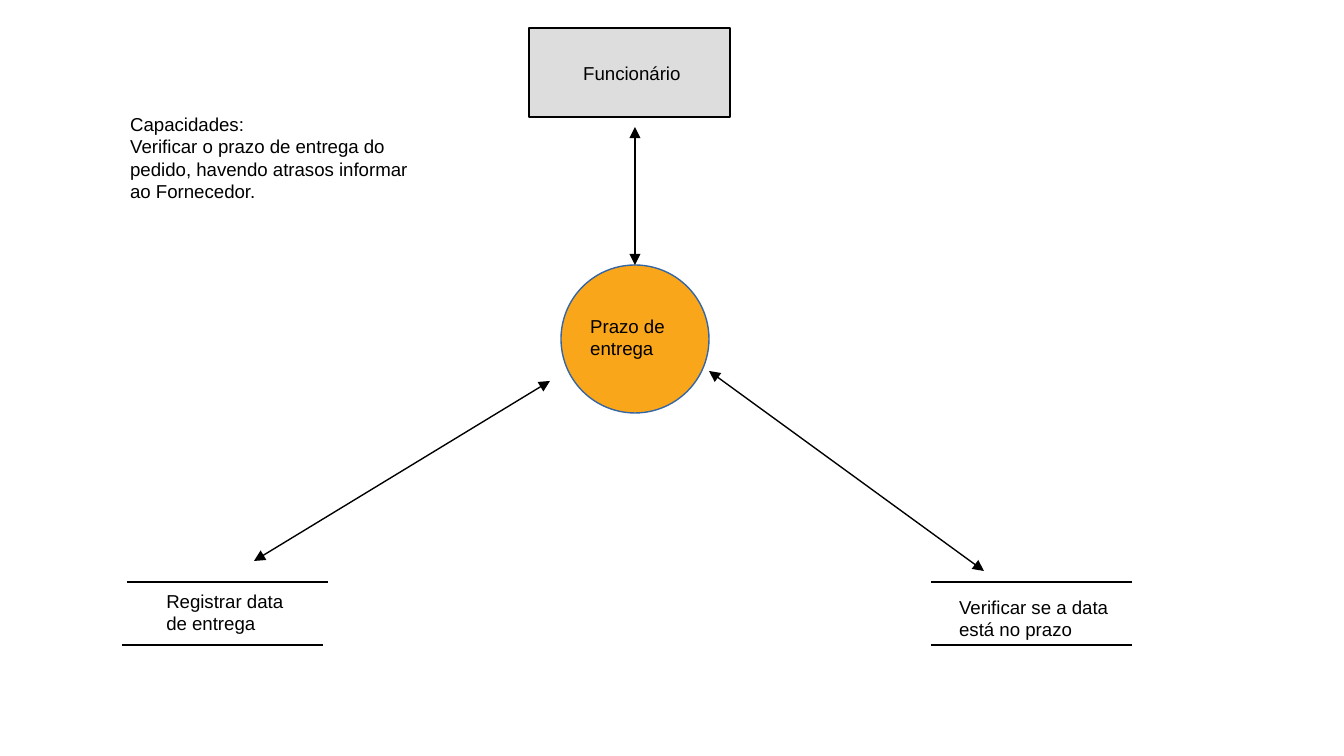
"""Build a data-flow diagram of the delivery deadline process."""
import pptx
import pptx.dml.color
import pptx.enum.shapes
import pptx.oxml
import pptx.oxml.ns
import pptx.util

EMU_PER_PX = 914400 / 134.4
BLACK = "000000"
STORE_WIDTH = 201


def px(length):
    return pptx.util.Emu(round(length * EMU_PER_PX))


def colour(hex_code):
    return pptx.dml.color.RGBColor.from_string(hex_code)


def add_node(slide, preset, box, fill, outline):
    node = slide.shapes.add_shape(preset, *map(px, box))
    node.shadow.inherit = False
    node.fill.solid()
    node.fill.fore_color.rgb = colour(fill)
    node.line.color.rgb = colour(outline)
    node.line.width = pptx.util.Pt(0.75)


def add_line(slide, start, end, arrows=False):
    line = slide.shapes.add_connector(
        pptx.enum.shapes.MSO_CONNECTOR.STRAIGHT, *map(px, start + end))
    line.line.color.rgb = colour(BLACK)
    line.line.width = pptx.util.Pt(0.75)
    properties = line._element.spPr
    pptx.oxml.ns.qn("a:effectLst")
    properties.append(properties.makeelement(pptx.oxml.ns.qn("a:effectLst"), {}))
    if arrows:
        outline = line.line._get_or_add_ln()
        for end_tag in ("a:headEnd", "a:tailEnd"):
            outline.append(outline.makeelement(
                pptx.oxml.ns.qn(end_tag), {"type": "triangle"}))


def add_label(slide, text, box):
    frame = slide.shapes.add_textbox(*map(px, box)).text_frame
    frame.word_wrap = True
    frame.text = text
    font = frame.paragraphs[0].font
    font.name = "Arial"
    font.size = pptx.util.Pt(10)
    font.color.rgb = colour(BLACK)


def main():
    deck = pptx.Presentation()
    deck.slide_width, deck.slide_height = px(1344), px(756)
    slide = deck.slides.add_slide(deck.slide_layouts[6])

    presets = pptx.enum.shapes.MSO_SHAPE
    add_node(slide, presets.OVAL, (561, 265, 148, 148), "FAA61A", "3465A4")
    add_node(slide, presets.RECTANGLE, (529, 28, 201, 89), "DDDDDD", BLACK)

    for left, top in ((127, 582), (931, 582), (122, 645), (931, 645)):
        add_line(slide, (left, top), (left + STORE_WIDTH, top))

    labels = (
        ("Capacidades: \vVerificar o prazo de entrega do pedido, "
         "havendo atrasos informar ao Fornecedor.", (117, 106, 307, 106)),
        ("Registrar data de entrega", (153, 583, 148, 39)),
        ("Verificar se a data está no prazo", (946, 589, 185, 39)),
        ("Funcionário", (570, 55, 128, 39)),
        ("Prazo de entrega", (577, 308, 148, 60)),
    )
    for text, box in labels:
        add_label(slide, text, box)

    flows = (
        ((635, 127), (635, 265)),
        ((254, 561), (550, 381)),
        ((709, 371), (984, 571)),
    )
    for start, end in flows:
        add_line(slide, start, end, arrows=True)

    deck.save("out.pptx")


if __name__ == "__main__":
    main()
